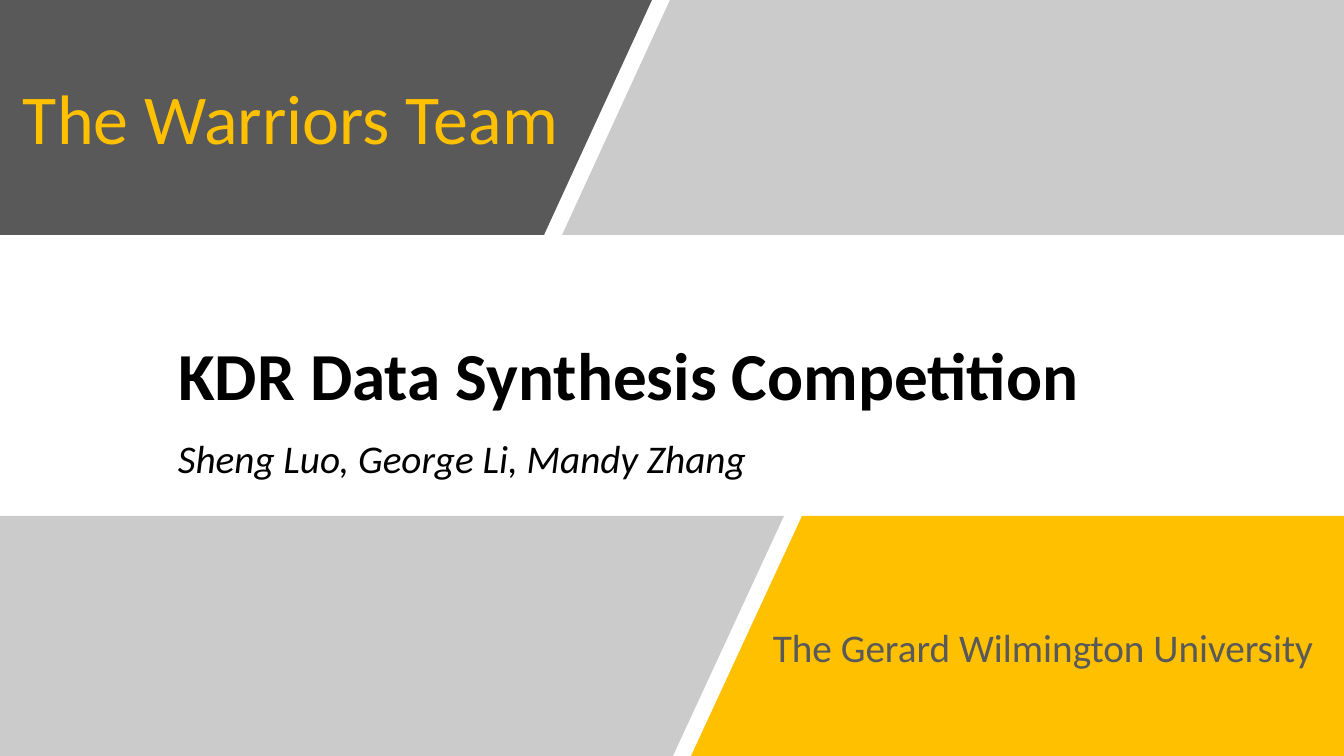
import pptx
import pptx.util
import pptx.dml.color
import pptx.enum.text
import pptx.oxml
import pptx.oxml.ns
import lxml.etree
from dataclasses import dataclass

WIDE, HIGH = 1344, 756
UNIT = 12192000 / WIDE


def px(n):
    return pptx.util.Emu(round(n * UNIT))


def rgb(code):
    return pptx.dml.color.RGBColor.from_string(code)


@dataclass
class Theme:
    font: str = "Calibri"
    dark: str = "595959"
    grey: str = "7F7F7F"
    gold: str = "FFC000"
    white: str = "FFFFFF"
    black: str = "000000"
    team: int = 50
    title: int = 48
    note: int = 28


class Deck:
    def __init__(self, theme):
        self.theme = theme
        self.show = pptx.Presentation()
        self.show.slide_width, self.show.slide_height = px(WIDE), px(HIGH)
        self.slide = self.show.slides.add_slide(self.show.slide_layouts[5])

    def panel(self, points, color, alpha=None):
        """Draw a closed outline; alpha is its opacity in percent."""
        pen = self.slide.shapes.build_freeform(*points[0], scale=UNIT)
        pen.add_line_segments(points[1:], close=True)
        shape = pen.convert_to_shape()
        shape.shadow.inherit = False
        shape.line.fill.background()
        shape.fill.solid()
        shape.fill.fore_color.rgb = rgb(color)
        if alpha is not None:
            tag = pptx.oxml.ns.qn("a:srgbClr")
            tone = next(shape.element.spPr.iter(tag))
            lxml.etree.SubElement(tone, pptx.oxml.ns.qn("a:alpha"),
                                  val=str(alpha * 1000))

    def style(self, shape, box, text, size, color, bold=False, italic=False,
              wrap=True):
        """Place a shape, fill in its text and return the paragraph."""
        shape.left, shape.top, shape.width, shape.height = map(px, box)
        frame = shape.text_frame
        frame.text = text
        frame.word_wrap = wrap
        frame.auto_size = pptx.enum.text.MSO_AUTO_SIZE.NONE
        para = frame.paragraphs[0]
        para.alignment = pptx.enum.text.PP_ALIGN.LEFT
        font = para.font
        font.name, font.size = self.theme.font, pptx.util.Pt(size)
        font.bold, font.italic = bold, italic
        font.color.rgb = rgb(color)
        return para

    def title(self, box, text):
        shape = self.slide.shapes.title
        para = self.style(shape, box, text, self.theme.title,
                          self.theme.black, bold=True)
        para.line_spacing = 0.9
        shape.text_frame.vertical_anchor = pptx.enum.text.MSO_ANCHOR.BOTTOM

    def label(self, box, text, size, color, **look):
        shape = self.slide.shapes.add_textbox(*map(px, box))
        return self.style(shape, box, text, size, color, **look)


def main():
    theme = Theme()
    deck = Deck(theme)
    deck.title((168, 248, 1008, 172), "KDR Data Synthesis Competition")
    names = deck.label((168, 435, 1008, 64), "Sheng Luo, George Li, Mandy Zhang",
                       theme.note, theme.black, italic=True)
    names.line_spacing = 0.9
    names.space_before = pptx.util.Pt(10)

    top, base = 235, 516
    deck.panel([(0, 0), (652, 0), (544, top), (0, top)], theme.dark)
    deck.panel([(670, 0), (WIDE, 0), (WIDE, top), (562, top)], theme.grey, 40)
    deck.panel([(789, base), (1177, base), (1177, HIGH), (678, HIGH)], theme.white)
    deck.panel([(802, base), (WIDE, base), (WIDE, HIGH), (691, HIGH)], theme.gold)
    deck.panel([(0, base), (784, base), (673, HIGH), (0, HIGH)], theme.grey, 40)

    deck.label((13, 70, 560, 95), "The Warriors Team", theme.team, theme.gold,
               wrap=False)
    deck.label((763, 618, 581, 57), "The Gerard Wilmington University",
               theme.note, theme.dark)
    deck.show.save("out.pptx")


if __name__ == "__main__":
    main()
